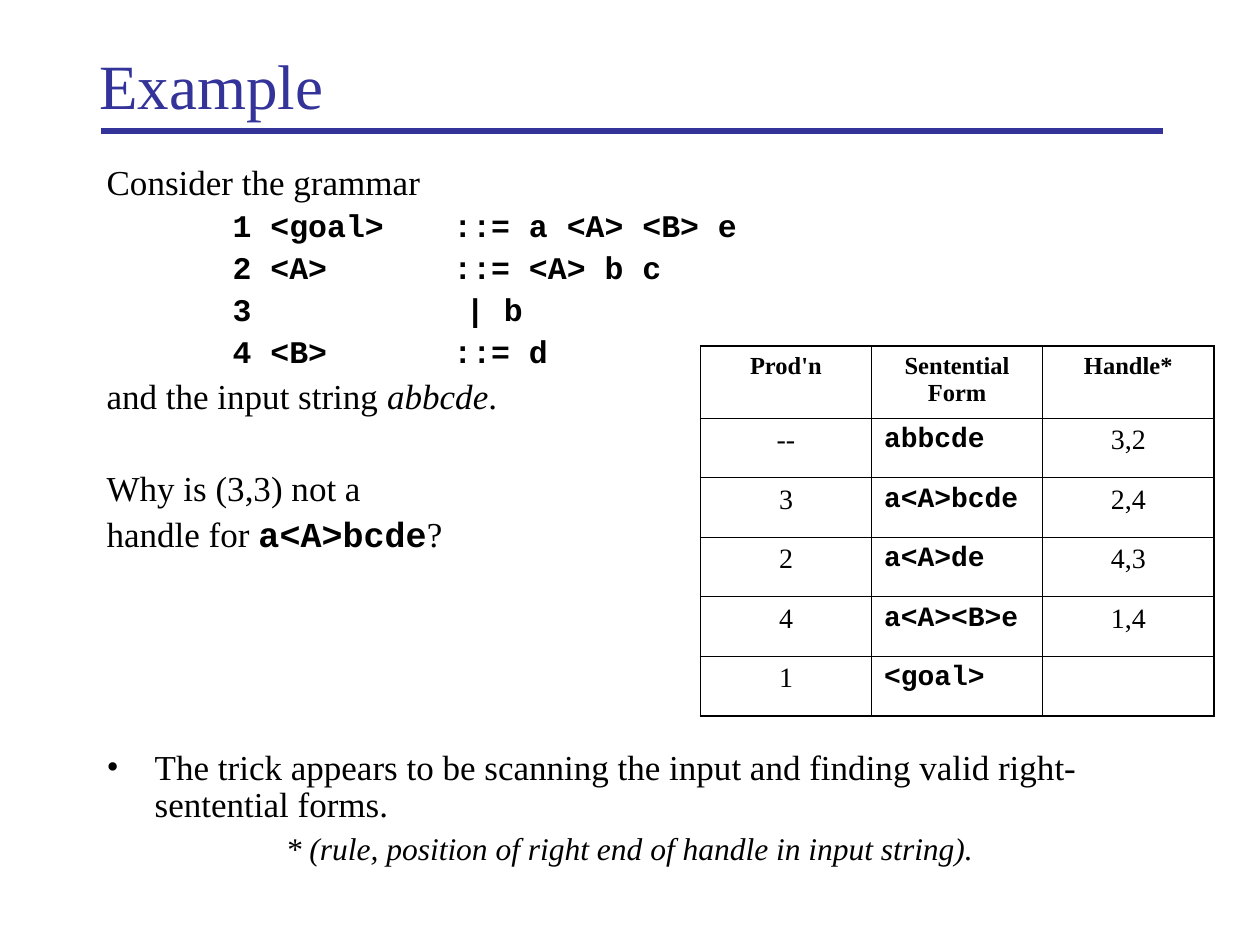
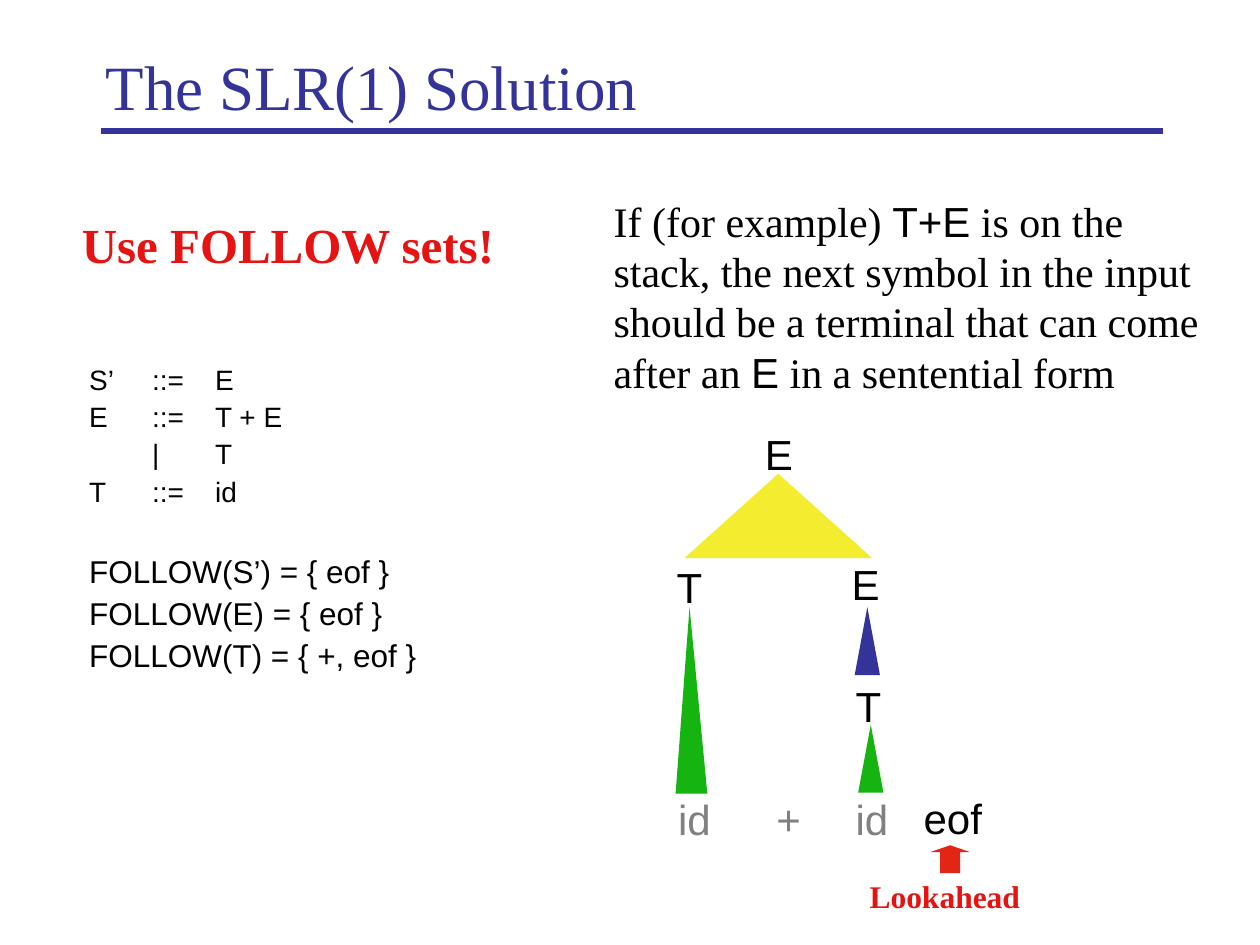
from lxml import etree
from pptx import Presentation
from pptx.dml.color import RGBColor
from pptx.enum import shapes, text
from pptx.oxml import ns
from pptx.util import Cm, Pt

INDIGO = RGBColor(0x33, 0x33, 0x99)
BLACK = RGBColor(0, 0, 0)
GRAY = RGBColor(0x80, 0x80, 0x80)
RED = RGBColor(0xE5, 0x13, 0x11)
ARROW_RED = RGBColor(0xE3, 0x25, 0x15)
GREEN = RGBColor(0x15, 0xB4, 0x11)
YELLOW = RGBColor(0xF4, 0xEC, 0x2F)

SERIF, SANS, MONO = "Times New Roman", "Arial", "Courier New"
CENTER = text.PP_ALIGN.CENTER
THIN, THICK = Pt(0.45), Pt(1.08)


def place(shape, box):
    shape.left, shape.top, shape.width, shape.height = (Cm(length) for length in box)


def add_element(parent, tag, **attributes):
    return etree.SubElement(parent, ns.qn(tag), {k: str(v) for k, v in attributes.items()})


def set_font(font, size=None, name=None, color=None, bold=None, italic=None):
    if size:
        font.size = Pt(size)
    if name:
        font.name = name
    if color is not None:
        font.color.rgb = color
    if bold is not None:
        font.bold = bold
    if italic is not None:
        font.italic = italic


def write(paragraph, content, size, name=SERIF, color=BLACK, bold=False, italic=False,
          before=0, spacing=None, align=None, margin=0, indent=0, bullet=None, tabs=()):
    """Fill a paragraph; content is a string or (string, font changes) pairs."""
    properties = paragraph._p.get_or_add_pPr()
    properties.set("marL", str(Cm(margin)))
    properties.set("indent", str(Cm(indent)))
    if bullet:
        add_element(properties, "a:buFont", typeface=SERIF)
        add_element(properties, "a:buChar", char=bullet)
    else:
        add_element(properties, "a:buNone")
    if tabs:
        tab_list = add_element(properties, "a:tabLst")
        for position in tabs:
            add_element(tab_list, "a:tab", pos=Cm(position), algn="l")
    if before:
        paragraph.space_before = Pt(before)
    if spacing:
        paragraph.line_spacing = spacing
    if align is not None:
        paragraph.alignment = align
    set_font(paragraph.font, size, name, color, bold, italic)
    for string, changes in [(content, {})] if isinstance(content, str) else content:
        run = paragraph.add_run()
        run.text = string
        set_font(run.font, **changes)


def append(frame, content, size, **style):
    paragraph = frame.add_paragraph() if frame.text else frame.paragraphs[0]
    write(paragraph, content, size, **style)


def add_text_frame(slide, box, wrap=True):
    text_box = slide.shapes.add_textbox(*(Cm(length) for length in box))
    frame = text_box.text_frame
    frame.word_wrap = wrap
    if not wrap:
        frame.auto_size = text.MSO_AUTO_SIZE.SHAPE_TO_FIT_TEXT
    return frame


def add_titled_slide(presentation, title, box):
    slide = presentation.slides.add_slide(presentation.slide_layouts[5])
    rule = slide.shapes.add_connector(
        shapes.MSO_CONNECTOR.STRAIGHT, Cm(2.03), Cm(2.64), Cm(23.44), Cm(2.64))
    rule.line.color.rgb = INDIGO
    rule.line.width = Pt(3)
    add_element(rule._element.spPr, "a:effectLst")
    place(slide.shapes.title, box)
    frame = slide.shapes.title.text_frame
    frame.vertical_anchor = text.MSO_ANCHOR.MIDDLE
    frame.auto_size = text.MSO_AUTO_SIZE.NONE
    write(frame.paragraphs[0], title, 36, color=INDIGO, align=text.PP_ALIGN.LEFT)
    return slide


def add_grammar_discussion(slide, box):
    frame = add_text_frame(slide, box)
    append(frame, "Consider the grammar", 20, spacing=0.9)
    for production in ("1 <goal> \t::= a <A> <B> e", "2 <A> \t\t::= <A> b c",
                       "3 \t\t    | b", "4 <B> \t\t::= d"):
        append(frame, production, 18, name=MONO, bold=True, before=4.5, spacing=0.9,
               margin=3.18, indent=-0.64, tabs=(2.54, 5.08))
    append(frame, [("and the input string ", {}), ("abbcde", {"italic": True}), (".", {})],
           20, before=5, spacing=0.9)
    append(frame, "Why is (3,3) not a", 20, before=31, spacing=0.9)
    append(frame, [("handle for ", {}), ("a<A>bcde", {"name": MONO, "bold": True}), ("?", {})],
           20, before=5, spacing=0.9)
    append(frame, "The trick appears to be scanning the input and finding valid "
           "right-sentential forms.", 20, before=111, spacing=0.9,
           margin=0.97, indent=-0.97, bullet="•")
    append(frame, "* (rule, position of right end of handle in input string).", 18,
           italic=True, before=4.5, spacing=0.9, align=CENTER)


def set_borders(cell, left, right, top, bottom):
    properties = cell._tc.get_or_add_tcPr()
    for side, width in zip("LRTB", (left, right, top, bottom)):
        line = add_element(properties, f"a:ln{side}", w=width)
        add_element(add_element(line, "a:solidFill"), "a:srgbClr", val=BLACK)


def add_handle_table(slide, box):
    rows = [
        ("Prod'n", "Sentential Form", "Handle*"),
        ("--", "abbcde", "3,2"),
        ("3", "a<A>bcde", "2,4"),
        ("2", "a<A>de", "4,3"),
        ("4", "a<A><B>e", "1,4"),
        ("1", "<goal>", ""),
    ]
    last_row, last_column = len(rows) - 1, len(rows[0]) - 1
    table = slide.shapes.add_table(
        len(rows), len(rows[0]), *(Cm(length) for length in box)).table
    table.first_row = table.horz_banding = False
    for column in table.columns:
        column.width = Cm(box[2] / len(rows[0]))
    for r, values in enumerate(rows):
        table.rows[r].height = Cm(1.2 if r else 1.45)
        for c, value in enumerate(values):
            cell = table.cell(r, c)
            set_borders(cell, *(THICK if outer else THIN for outer in
                                (c == 0, c == last_column, r == 0, r == last_row)))
            cell.fill.background()
            is_form = r > 0 and c == 1
            write(cell.text_frame.paragraphs[0], value, 16 if r else 14,
                  name=MONO if is_form else SERIF, bold=r == 0 or is_form,
                  align=None if is_form else CENTER)


def add_follow_sets(slide, box):
    frame = add_text_frame(slide, box)
    hanging = {"name": SANS, "spacing": 0.9, "margin": 1.27, "indent": -1.27}
    for i, production in enumerate(("S’ \t::= \tE", "E \t::= \tT + E", "\t| \tT", "T \t::= \tid")):
        append(frame, production, 16, before=4 if i else 0, tabs=(0, 2.54), **hanging)
    for i, follow in enumerate(("FOLLOW(S’) = { eof }", "FOLLOW(E) = { eof }",
                                "FOLLOW(T) = { +, eof }")):
        append(frame, follow, 18, before=4.5 if i else 27.5, **hanging)


def add_follow_explanation(slide, box):
    sans = {"name": SANS}
    append(add_text_frame(slide, box), [
        ("If (for example) ", {}), ("T+E", sans),
        (" is on the stack, the next symbol in the input should be a terminal "
         "that can come after an ", {}),
        ("E", sans), (" in a sentential form", {})], 24)


def add_parse_tree(slide, left, top):
    triangle, arrow = shapes.MSO_SHAPE.ISOSCELES_TRIANGLE, shapes.MSO_SHAPE.UP_ARROW
    for kind, x, y, width, height, color, adjustments in (
            (triangle, 0.41, 1.04, 3.78, 1.7, YELLOW, (0.5,)),
            (triangle, 0.23, 3.73, 0.64, 3.76, GREEN, (0.44,)),
            (triangle, 3.84, 3.73, 0.51, 1.37, INDIGO, (0.5,)),
            (triangle, 3.91, 6.1, 0.51, 1.37, GREEN, (0.5,)),
            (arrow, 5.36, 8.53, 0.81, 0.56, ARROW_RED, (0.5, 0.25))):
        shape = slide.shapes.add_shape(
            kind, Cm(left + x), Cm(top + y), Cm(width), Cm(height))
        shape.shadow.inherit = False
        shape.fill.solid()
        shape.fill.fore_color.rgb = color
        shape.line.fill.background()
        for i, adjustment in enumerate(adjustments):
            shape.adjustments[i] = adjustment

    for symbol, x, y, width, color in (
            ("E", 1.78, 0, 1.07, BLACK), ("T", 0, 2.69, 1.02, BLACK),
            ("E", 3.53, 2.62, 1.07, BLACK), ("T", 3.61, 5.08, 1.02, BLACK),
            ("id", 0.03, 7.37, 1.17, GRAY), ("+", 2.01, 7.37, 0.99, GRAY),
            ("id", 3.61, 7.37, 1.17, GRAY), ("eof", 4.98, 7.34, 1.68, BLACK)):
        frame = add_text_frame(slide, (left + x, top + y, width, 1.27), wrap=False)
        append(frame, symbol, 24, name=SANS, color=color)
    frame = add_text_frame(slide, (left + 3.89, top + 9.04, 4.17, 1.02), wrap=False)
    append(frame, "Lookahead", 18, color=RED, bold=True)


def build_example_slide(presentation):
    slide = add_titled_slide(presentation, "Example", (1.75, 0.79, 21.59, 1.8))
    add_grammar_discussion(slide, (1.9, 3.2, 21.59, 14.78))
    add_handle_table(slide, (14.12, 6.98, 10.35, 7.45))


def build_solution_slide(presentation):
    slide = add_titled_slide(presentation, "The SLR(1) Solution", (1.88, 0.71, 21.59, 2))
    heading = add_text_frame(slide, (1.4, 4.19, 9.65, 2.13))
    append(heading, "Use FOLLOW sets!", 28, color=RED, bold=True)
    add_follow_sets(slide, (1.55, 7.26, 9.65, 6.53))
    add_follow_explanation(slide, (12.12, 3.81, 12.78, 5.33))
    add_parse_tree(slide, 13.39, 8.51)


def main():
    presentation = Presentation()
    presentation.slide_width, presentation.slide_height = Cm(25.4), Cm(19.05)
    build_example_slide(presentation)
    build_solution_slide(presentation)
    presentation.save("out.pptx")


if __name__ == "__main__":
    main()
